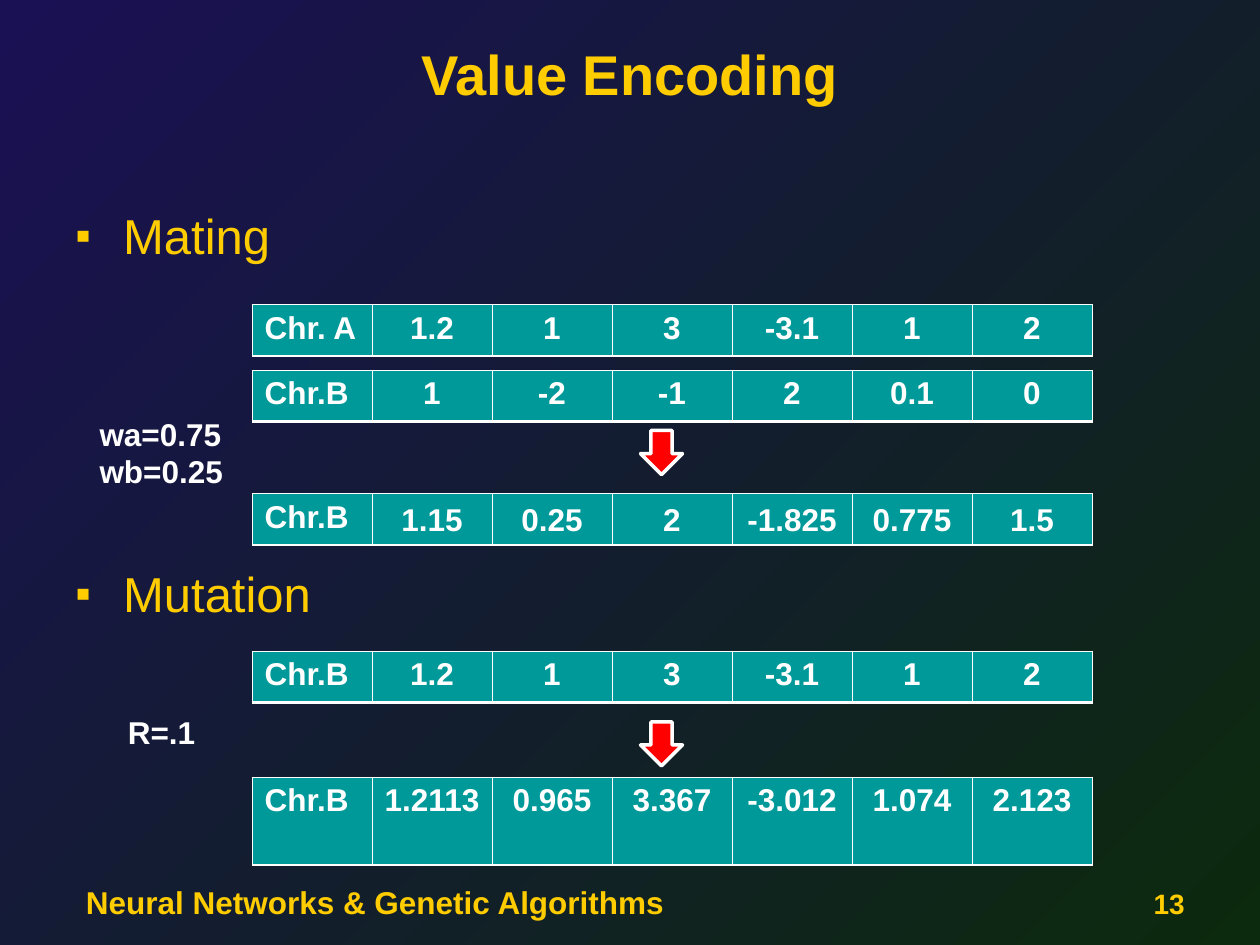
from dataclasses import dataclass

from lxml import etree
from pptx import Presentation
from pptx.dml.color import RGBColor
from pptx.enum.shapes import MSO_SHAPE
from pptx.enum.text import MSO_ANCHOR, PP_ALIGN
from pptx.oxml.ns import qn
from pptx.util import Inches, Pt

LEFT, MID, RIGHT = PP_ALIGN.LEFT, PP_ALIGN.CENTER, PP_ALIGN.RIGHT
TOP, CENTER, LOW = MSO_ANCHOR.TOP, MSO_ANCHOR.MIDDLE, MSO_ANCHOR.BOTTOM
DOWN = MSO_SHAPE.DOWN_ARROW

UNIT = 1 / 12  # the slide is a grid of 120 columns by 90 rows
GOLD, WHITE, TEAL, RED = "FFCC00", "FFFFFF", "009999", "FF0000"
EDGES = {"L": 0.45, "R": 0.45, "T": 0.45, "B": 1.47}


@dataclass
class Note:
    box: tuple
    lines: list
    size: int
    color: str = GOLD
    bold: bool = True
    align: int = LEFT
    anchor: int = TOP
    wrap: bool = True


@dataclass
class Gene:
    row: float
    name: str
    values: list
    tall: float = 4.9
    anchor: int = TOP
    pad: float = 0.1


NOTES = [
    Note((6, 2, 108, 10), ["Value Encoding"], 32, align=MID, anchor=CENTER),
    Note((7, 82, 86, 6.25), ["Neural Networks & Genetic Algorithms"], 18, anchor=LOW),
    Note((86, 82, 28, 6.25), ["13"], 16, align=RIGHT, anchor=LOW),
    Note((8.3, 38.9, 14.2, 8.4), ["wa=0.75", "wb=0.25"], 18, WHITE, wrap=False),
    Note((11, 67.3, 8.8, 4.8), ["R=.1"], 18, WHITE, wrap=False),
]
TOPICS = Note((6, 19, 108, 61), ["Mating", "Mutation"], 28, bold=False)
GAPS = (7, 171)  # points above each topic
GENES = [
    Gene(29, "Chr. A", ["1.2", "1", "3", "-3.1", "1", "2"]),
    Gene(35.25, "Chr.B", ["1", "-2", "-1", "2", "0.1", "0"]),
    Gene(47, "Chr.B", ["1.15", "0.25", "2", "-1.825", "0.775", "1.5"],
         anchor=LOW, pad=0.01),
    Gene(62, "Chr.B", ["1.2", "1", "3", "-3.1", "1", "2"]),
    Gene(74, "Chr.B", ["1.2113", "0.965", "3.367", "-3.012", "1.074", "2.123"],
         tall=8.4),
]
ARROWS = [41, 68.75]


def rgb(code: str) -> RGBColor:
    return RGBColor.from_string(code)


def grid(*spans: float) -> list:
    return [Inches(span * UNIT) for span in spans]


def style(para, size: int, color: str, bold: bool, align: int) -> None:
    para.alignment = align
    form = {"name": "Arial", "size": Pt(size), "bold": bold}
    for run in para.runs:
        for key, value in form.items():
            setattr(run.font, key, value)
        run.font.color.rgb = rgb(color)


def write(slide, note: Note):
    frame = slide.shapes.add_textbox(*grid(*note.box)).text_frame
    frame.word_wrap = note.wrap
    frame.vertical_anchor = note.anchor
    frame.text = "\n".join(note.lines)
    for para in frame.paragraphs:
        style(para, note.size, note.color, note.bold, note.align)
    return frame


def bullet(para, gap: float) -> None:
    para.space_before = Pt(gap)
    props = para._p.get_or_add_pPr()
    props.set("marL", str(Inches(0.38)))
    props.set("indent", str(Inches(-0.38)))
    hue = etree.SubElement(props, qn("a:buClr"))
    etree.SubElement(hue, qn("a:srgbClr"), val=GOLD)
    etree.SubElement(props, qn("a:buSzPct"), val="90000")
    etree.SubElement(props, qn("a:buFont"), typeface="Arial")
    etree.SubElement(props, qn("a:buChar"), char="▪")


def border(cell) -> None:
    props = cell._tc.get_or_add_tcPr()
    for side, width in EDGES.items():
        line = etree.SubElement(props, qn(f"a:ln{side}"), w=str(Pt(width)))
        fill = etree.SubElement(line, qn("a:solidFill"))
        etree.SubElement(fill, qn("a:srgbClr"), val=WHITE)


def strip(slide, gene: Gene) -> None:
    """Draw one chromosome as a table of a single row."""
    texts = [gene.name, *gene.values]
    box = grid(24, gene.row, 80, gene.tall)
    table = slide.shapes.add_table(1, len(texts), *box).table
    table.first_row = table.horz_banding = False
    for col, text in enumerate(texts):
        cell = table.cell(0, col)
        border(cell)
        cell.fill.solid()
        cell.fill.fore_color.rgb = rgb(TEAL)
        cell.text = text
        pad = Inches(gene.pad if col else 0.1)
        form = {"margin_left": pad, "margin_right": pad,
                "vertical_anchor": gene.anchor if col else TOP}
        for key, value in form.items():
            setattr(cell, key, value)
        style(cell.text_frame.paragraphs[0], 18, WHITE, True, MID if col else LEFT)


def arrow(slide, row: float) -> None:
    shape = slide.shapes.add_shape(DOWN, *grid(61, row, 4, 4.2))
    shape.shadow.inherit = False
    shape.fill.solid()
    shape.fill.fore_color.rgb = rgb(RED)
    shape.line.color.rgb = rgb(WHITE)
    shape.line.width = Pt(2)


def main() -> None:
    deck = Presentation()
    deck.slide_width, deck.slide_height = grid(120, 90)
    slide = deck.slides.add_slide(deck.slide_layouts[6])
    back = slide.background.fill
    back.gradient()
    back.gradient_angle = 315
    for stop, code in zip(back.gradient_stops, ("1A1054", "0C2A0D")):
        stop.color.rgb = rgb(code)
    for note in NOTES:
        write(slide, note)
    for para, gap in zip(write(slide, TOPICS).paragraphs, GAPS):
        bullet(para, gap)
    for gene in GENES:
        strip(slide, gene)
    for row in ARROWS:
        arrow(slide, row)
    deck.save("out.pptx")


if __name__ == "__main__":
    main()
